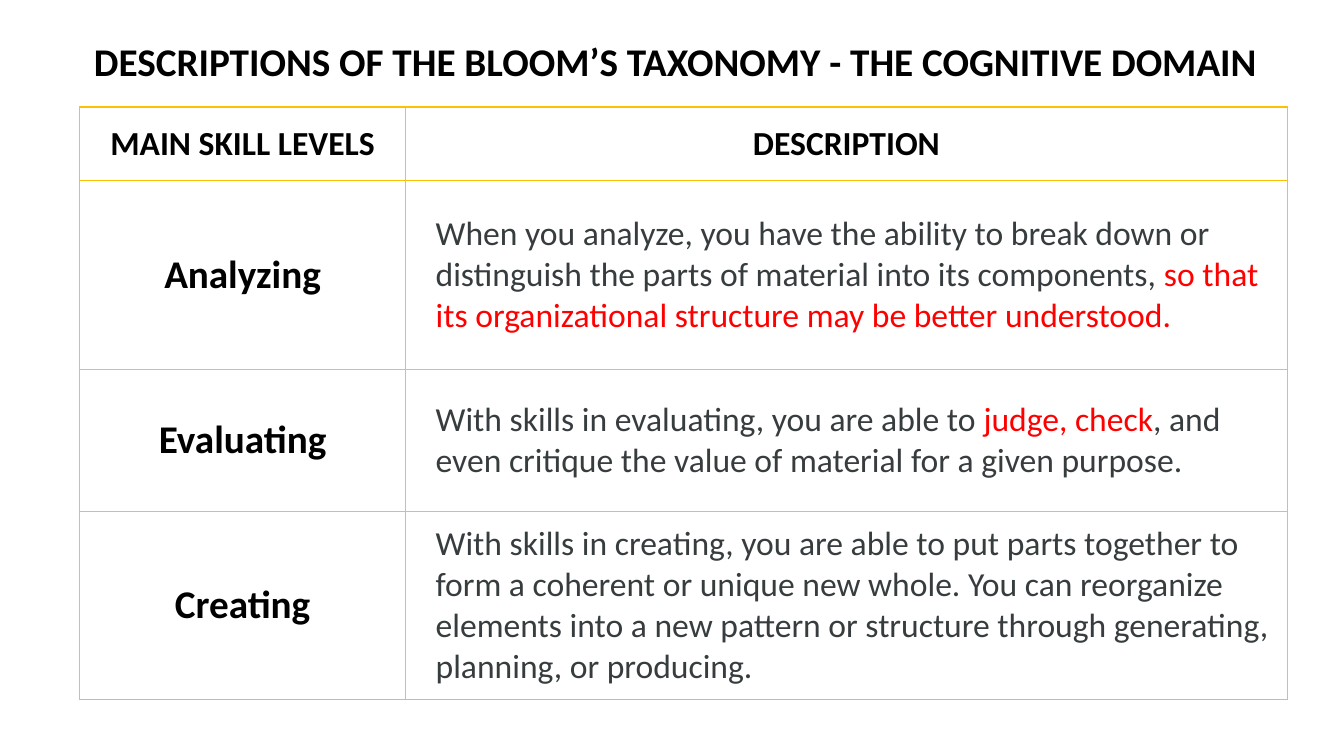
from dataclasses import dataclass

from lxml.etree import SubElement
from pptx import Presentation
from pptx.dml.color import RGBColor
from pptx.enum.text import MSO_ANCHOR, PP_ALIGN
from pptx.oxml.ns import qn
from pptx.util import Pt


@dataclass(frozen=True)
class Theme:
    font: str = "Calibri"
    black: str = "000000"
    body: str = "373D3F"
    accent: str = "FF0000"
    gold: str = "FFC000"
    grey: str = "BFBFBF"
    large: int = 28
    normal: int = 24
    border: float = 1


THEME = Theme()

TITLE = "DESCRIPTIONS OF THE BLOOM’S TAXONOMY - THE COGNITIVE DOMAIN"
HEADERS = ("MAIN SKILL LEVELS", "DESCRIPTION")
# Each description is a list of (text, highlighted) runs
SKILLS = [
    ("Analyzing", [
        ("When you analyze, you have the ability to break down or distinguish "
         "the parts of material into its components, ", False),
        ("so that its organizational structure may be better understood.", True),
    ]),
    ("Evaluating", [
        ("With skills in evaluating, you are able to ", False),
        ("judge, check", True),
        (", and even critique the value of material for a given purpose.", False),
    ]),
    ("Creating", [
        ("With skills in creating, you are able to put parts together to form "
         "a coherent or unique new whole. You can reorganize elements into a "
         "new pattern or structure through generating, planning, or producing.",
         False),
    ]),
]
COL_WIDTHS = (232.6, 630)
ROW_HEIGHTS = (52.8, 134.6, 101.5, 134.6)


def style_paragraph(p, size, bold, align=PP_ALIGN.LEFT):
    p.alignment = align
    p.font.name = THEME.font
    p.font.size = Pt(size)
    p.font.bold = bold


def add_run(p, text, color):
    r = p.add_run()
    r.text = text
    r.font.color.rgb = RGBColor.from_string(color)


def set_borders(cell, top, bottom):
    """Grey sides, with the given colours above and below."""
    tc_pr = cell._tc.get_or_add_tcPr()
    colors = {"a:lnL": THEME.grey, "a:lnR": THEME.grey,
              "a:lnT": top, "a:lnB": bottom}
    for tag, color in colors.items():
        ln = SubElement(tc_pr, qn(tag), w=str(Pt(THEME.border)))
        SubElement(SubElement(ln, qn("a:solidFill")), qn("a:srgbClr"), val=color)


def fill_cell(cell, runs, size, bold, align, indent=1.4):
    cell.vertical_anchor = MSO_ANCHOR.MIDDLE
    cell.margin_left, cell.margin_right = Pt(indent), Pt(1.4)
    cell.margin_top = cell.margin_bottom = Pt(0.7)
    p = cell.text_frame.paragraphs[0]
    style_paragraph(p, size, bold, align)
    for text, color in runs:
        add_run(p, text, color)


def add_title(s, left, top, width, height):
    sp = s.shapes.add_textbox(Pt(left), Pt(top), Pt(width), Pt(height))
    tf = sp.text_frame
    tf.word_wrap = True
    p = tf.paragraphs[0]
    style_paragraph(p, THEME.large, True)
    add_run(p, TITLE, THEME.black)


def add_skill_table(s, left, top, width, height):
    frame = s.shapes.add_table(len(ROW_HEIGHTS), len(COL_WIDTHS),
                               Pt(left), Pt(top), Pt(width), Pt(height))
    table = frame.table
    table.first_row = table.horz_banding = False
    for column, share in zip(table.columns, COL_WIDTHS):
        column.width = Pt(width * share / sum(COL_WIDTHS))
    for row, share in zip(table.rows, ROW_HEIGHTS):
        row.height = Pt(height * share / sum(ROW_HEIGHTS))

    # Header row
    for col, text in enumerate(HEADERS):
        fill_cell(table.cell(0, col), [(text, THEME.black)],
                  THEME.normal, True, PP_ALIGN.CENTER)

    # Skill rows
    for row, (skill, description) in enumerate(SKILLS, start=1):
        fill_cell(table.cell(row, 0), [(skill, THEME.black)],
                  THEME.large, True, PP_ALIGN.CENTER)
        runs = [(text, THEME.accent if highlighted else THEME.body)
                for text, highlighted in description]
        fill_cell(table.cell(row, 1), runs,
                  THEME.normal, False, PP_ALIGN.LEFT, indent=21.6)

    # Gold rules around the header and at the foot, grey between skills
    last = len(ROW_HEIGHTS) - 1
    for row in range(last + 1):
        top_color = THEME.gold if row <= 1 else THEME.grey
        bottom_color = THEME.gold if row in (0, last) else THEME.grey
        for col in range(len(COL_WIDTHS)):
            cell = table.cell(row, col)
            set_borders(cell, top_color, bottom_color)
            cell.fill.background()


def main():
    prs = Presentation()
    prs.slide_width, prs.slide_height = Pt(960), Pt(540)
    s = prs.slides.add_slide(prs.slide_layouts[6])
    add_skill_table(s, 57, 76.4, sum(COL_WIDTHS), sum(ROW_HEIGHTS))
    add_title(s, 60, 23, 857, 75)
    prs.save("out.pptx")


if __name__ == "__main__":
    main()
